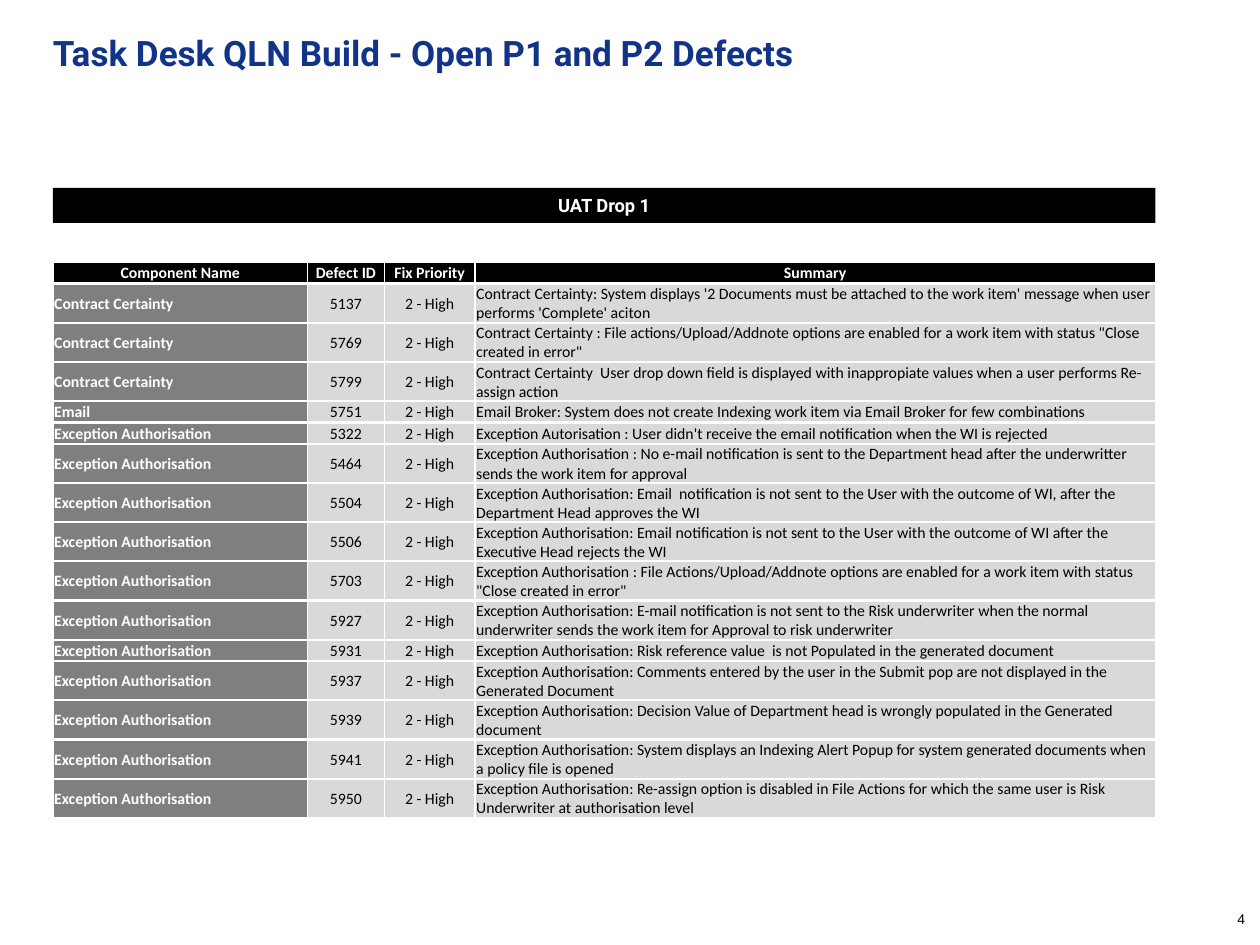
from lxml.etree import SubElement
from pptx import Presentation
from pptx.dml.color import RGBColor
from pptx.enum.shapes import MSO_SHAPE
from pptx.enum.text import MSO_ANCHOR as Anchor, MSO_AUTO_SIZE as AutoSize, PP_ALIGN as Align
from pptx.oxml.ns import qn
from pptx.util import Inches, Pt

BLUE = RGBColor(0x11, 0x33, 0x88)
BLACK = RGBColor(0x00, 0x00, 0x00)
WHITE = RGBColor(0xFF, 0xFF, 0xFF)
DARK_GREY = RGBColor(0x7F, 0x7F, 0x7F)
LIGHT_GREY = RGBColor(0xD9, 0xD9, 0xD9)

LEFT, WIDTH = 0.42, 8.75
COLUMN_WIDTHS = [2.02, 0.61, 0.72, 5.4]
HEADER_HEIGHT, ONE_LINE_HEIGHT, TWO_LINE_HEIGHT = 0.17, 0.17, 0.3
CHARACTERS_PER_LINE = 95

HEADERS = ["Component Name", "Defect ID", "Fix Priority", "Summary"]
PRIORITY = "2 - High"
DEFECTS = {
    "Contract Certainty": [
        ("5137", "Contract Certainty: System displays '2 Documents must be attached to the work item' message when user performs 'Complete' aciton"),
        ("5769", "Contract Certainty : File actions/Upload/Addnote options are enabled for a work item with status \"Close created in error\""),
        ("5799", "Contract Certainty  User drop down field is displayed with inappropiate values when a user performs Re-assign action"),
    ],
    "Email": [
        ("5751", "Email Broker: System does not create Indexing work item via Email Broker for few combinations"),
    ],
    "Exception Authorisation": [
        ("5322", "Exception Autorisation : User didn't receive the email notification when the WI is rejected"),
        ("5464", "Exception Authorisation : No e-mail notification is sent to the Department head after the underwritter sends the work item for approval"),
        ("5504", "Exception Authorisation: Email  notification is not sent to the User with the outcome of WI, after the Department Head approves the WI"),
        ("5506", "Exception Authorisation: Email notification is not sent to the User with the outcome of WI after the Executive Head rejects the WI"),
        ("5703", "Exception Authorisation : File Actions/Upload/Addnote options are enabled for a work item with status \"Close created in error\""),
        ("5927", "Exception Authorisation: E-mail notification is not sent to the Risk underwriter when the normal underwriter sends the work item for Approval to risk underwriter"),
        ("5931", "Exception Authorisation: Risk reference value  is not Populated in the generated document"),
        ("5937", "Exception Authorisation: Comments entered by the user in the Submit pop are not displayed in the Generated Document"),
        ("5939", "Exception Authorisation: Decision Value of Department head is wrongly populated in the Generated document"),
        ("5941", "Exception Authorisation: System displays an Indexing Alert Popup for system generated documents when a policy file is opened"),
        ("5950", "Exception Authorisation: Re-assign option is disabled in File Actions for which the same user is Risk Underwriter at authorisation level"),
    ],
}


def write_text(frame, text, font="Calibri", size=9, color=BLACK, bold=False, align=Align.LEFT):
    paragraph = frame.paragraphs[0]
    paragraph.alignment = align
    run = paragraph.add_run()
    run.text = text
    run.font.name = font
    run.font.size = Pt(size)
    run.font.bold = bold
    run.font.color.rgb = color


def add_white_borders(cell, top):
    """Call before filling the cell: the schema wants borders ahead of the fill."""
    properties = cell._tc.get_or_add_tcPr()
    for side, points in (("L", 1), ("R", 1), ("T", top), ("B", 1.5)):
        line = SubElement(properties, qn(f"a:ln{side}"), w=str(Pt(points)))
        SubElement(SubElement(line, qn("a:solidFill")), qn("a:srgbClr"), val=str(WHITE))


presentation = Presentation()
presentation.slide_width = Inches(10)
presentation.slide_height = Inches(7.5)
slide = presentation.slides.add_slide(presentation.slide_layouts[5])

# Title
title = slide.shapes.title
title.left, title.top = Inches(LEFT), Inches(0.25)
title.width, title.height = Inches(6.8), Inches(0.5)
frame = title.text_frame
frame.margin_left = frame.margin_right = frame.margin_top = frame.margin_bottom = 0
frame.vertical_anchor = Anchor.TOP
frame.auto_size = AutoSize.NONE
write_text(frame, "Task Desk QLN Build - Open P1 and P2 Defects",
           font="Roboto", size=20, color=BLUE, bold=True)

# Page number
page_number = slide.shapes.add_textbox(Inches(9.75), Inches(7.18), Inches(0.17), Inches(0.24))
page_number.text_frame.word_wrap = False
write_text(page_number.text_frame, "4", font="Arial", size=8)

# Section banner
banner = slide.shapes.add_shape(MSO_SHAPE.RECTANGLE, Inches(LEFT), Inches(1.49),
                                Inches(WIDTH), Inches(0.28))
banner.shadow.inherit = False
banner.fill.solid()
banner.fill.fore_color.rgb = BLACK
banner.line.fill.background()
banner.text_frame.vertical_anchor = Anchor.MIDDLE
write_text(banner.text_frame, "UAT Drop 1", font="Roboto", size=10.5,
           color=WHITE, bold=True, align=Align.CENTER)

# Defect table
rows = [HEADERS] + [
    [component, defect_id, PRIORITY, summary]
    for component, defects in DEFECTS.items()
    for defect_id, summary in defects
]
heights = [HEADER_HEIGHT] + [
    TWO_LINE_HEIGHT if len(row[-1]) > CHARACTERS_PER_LINE else ONE_LINE_HEIGHT
    for row in rows[1:]
]
table = slide.shapes.add_table(len(rows), len(HEADERS), Inches(LEFT), Inches(2.08),
                               Inches(WIDTH), Inches(sum(heights))).table
table.horz_banding = False
for column, width in zip(table.columns, COLUMN_WIDTHS):
    column.width = Inches(width)

for row_index, (values, height) in enumerate(zip(rows, heights)):
    table.rows[row_index].height = Inches(height)
    is_header = row_index == 0
    for column_index, text in enumerate(values):
        cell = table.cell(row_index, column_index)
        is_label = is_header or column_index == 0
        is_centred = is_header or column_index in (1, 2)
        cell.margin_left = cell.margin_right = cell.margin_top = Inches(0.01)
        cell.margin_bottom = 0
        cell.vertical_anchor = Anchor.MIDDLE
        add_white_borders(cell, top=1 if is_header else 1.5)
        cell.fill.solid()
        cell.fill.fore_color.rgb = (
            BLACK if is_header else DARK_GREY if is_label else LIGHT_GREY)
        write_text(cell.text_frame, text, color=WHITE if is_label else BLACK,
                   bold=is_label, align=Align.CENTER if is_centred else Align.LEFT)

presentation.save("out.pptx")
